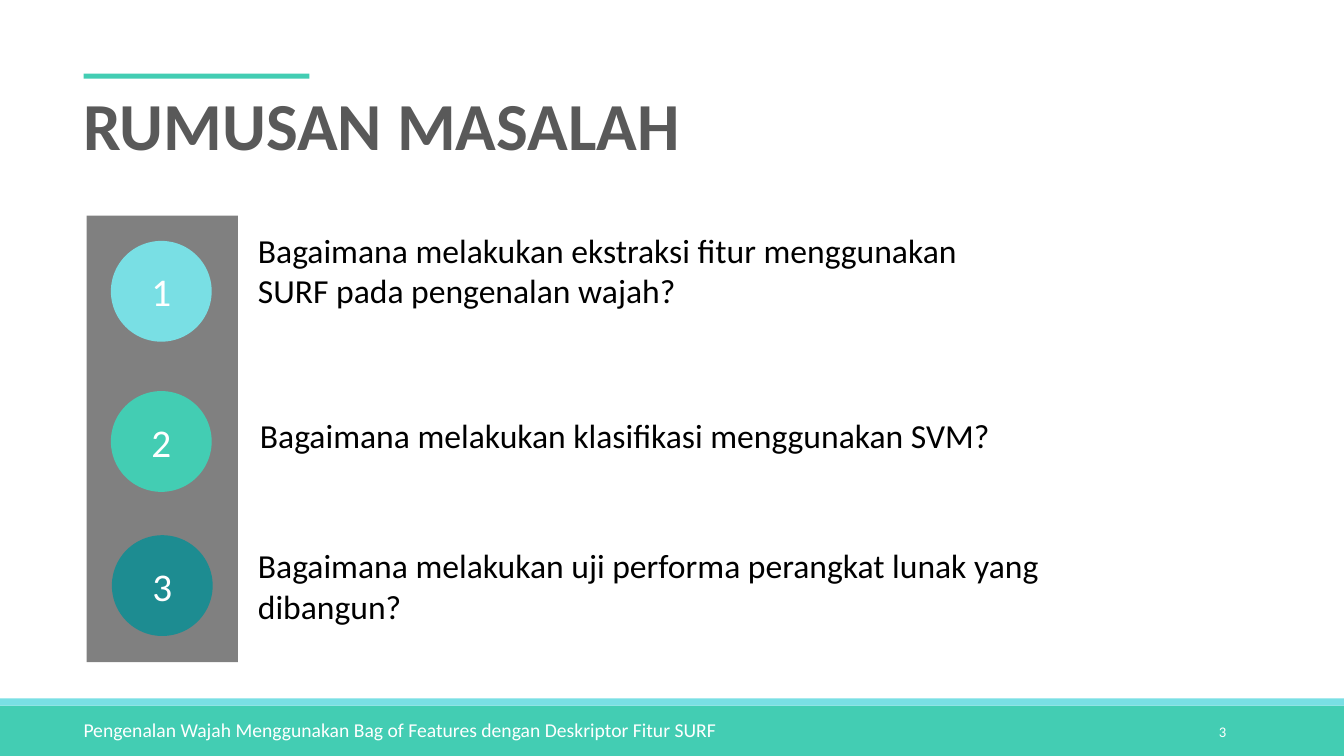
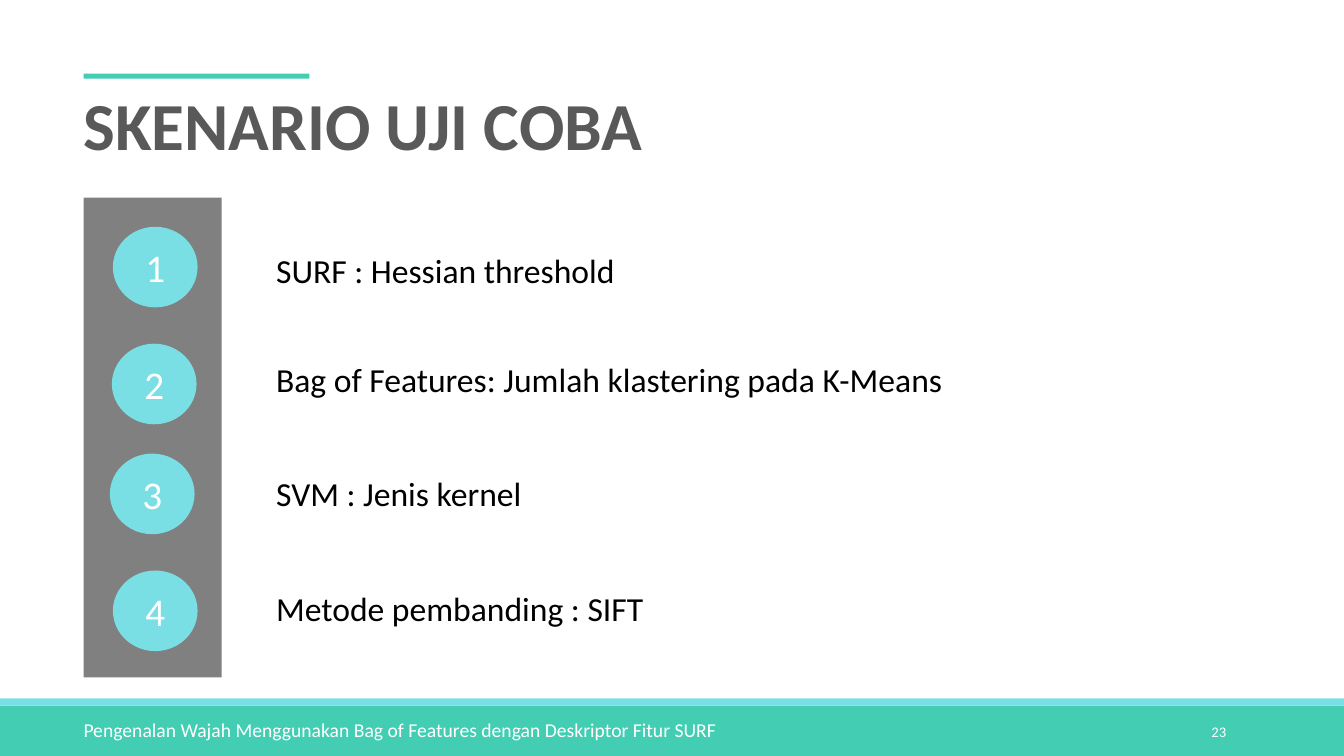
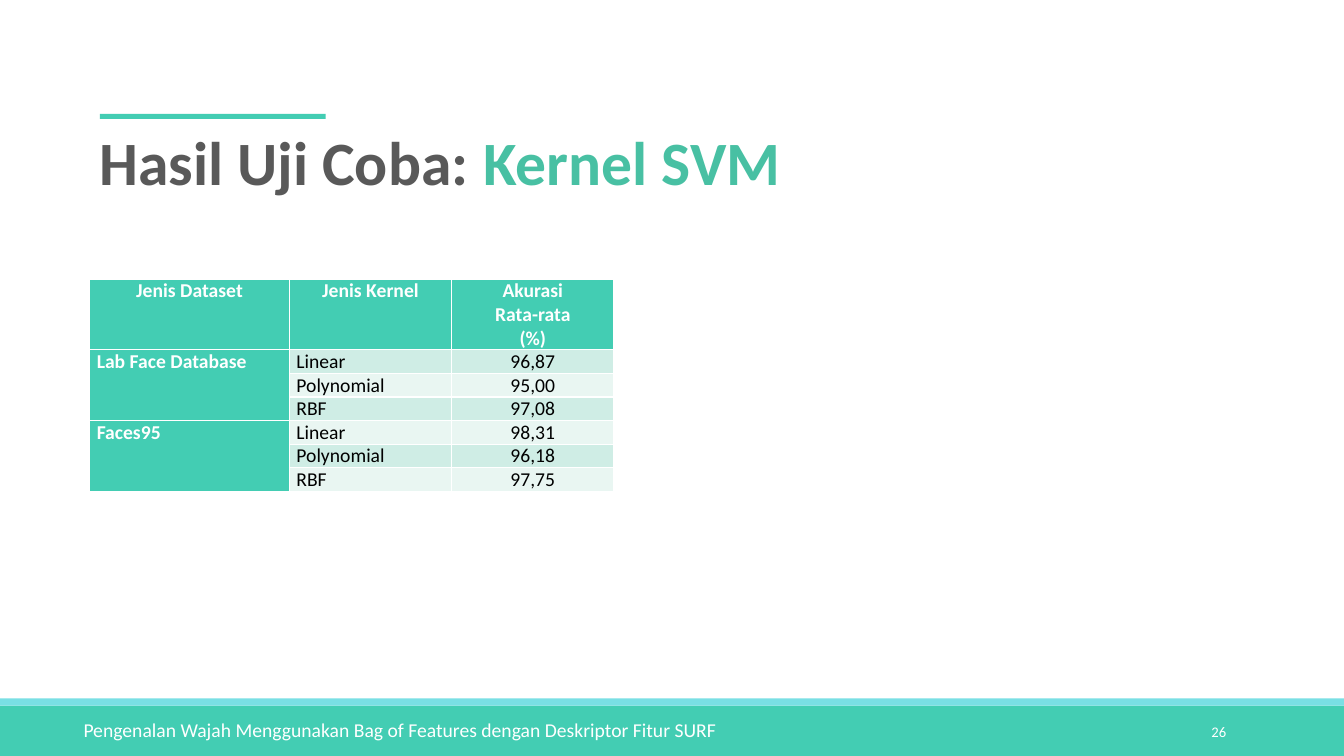
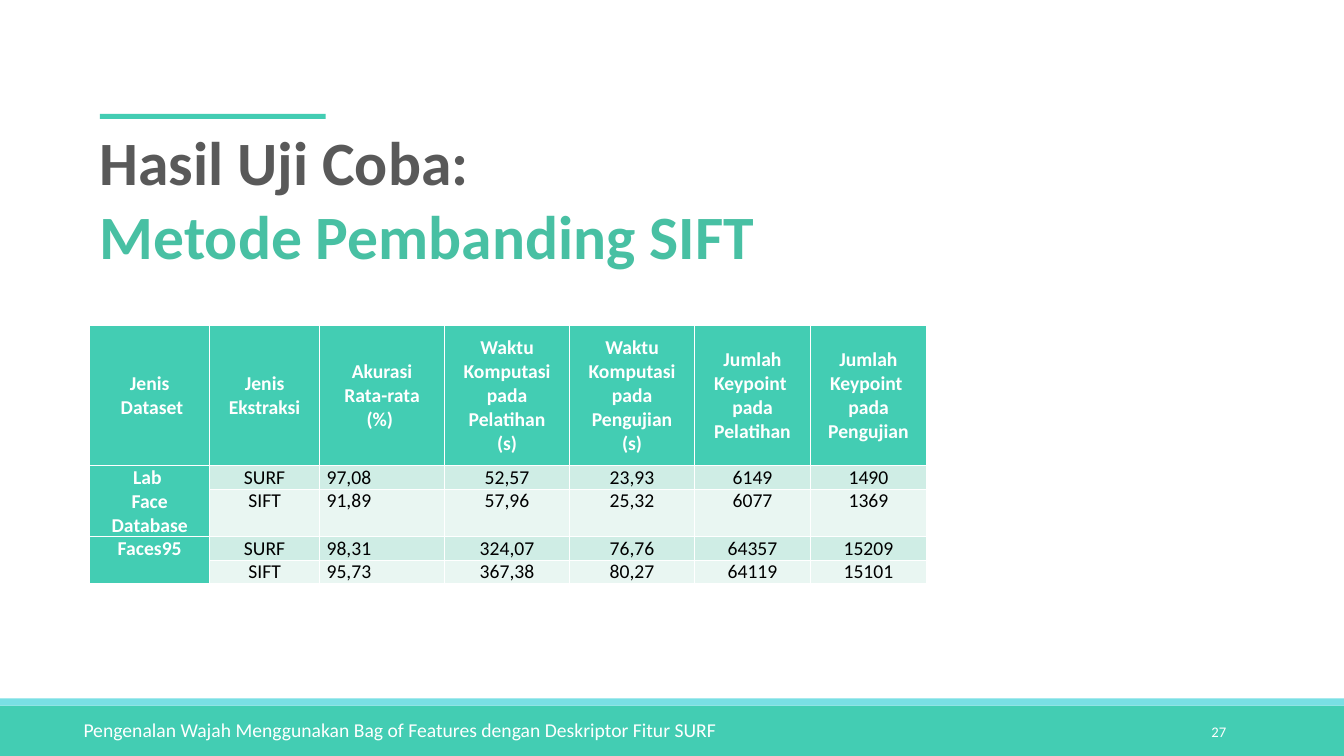
from dataclasses import dataclass

from pptx import Presentation
from pptx.dml.color import RGBColor
from pptx.enum import shapes, text
from pptx.util import Emu, Pt

EMU_PER_PX = 9144  # 100 px to the inch
FONT = "Calibri"
FOOTER = "Pengenalan Wajah Menggunakan Bag of Features dengan Deskriptor Fitur SURF"
COLORS = {
    "green": "43CDB3",
    "accent": "48C0A3",
    "cyan": "79DFE4",
    "teal": "1D8C91",
    "gray": "808080",
    "title": "595959",
    "band_dark": "CFEDE5",
    "band_light": "E9F6F2",
    "white": "FFFFFF",
    "black": "000000",
}
LEFT, CENTER, RIGHT = text.PP_ALIGN.LEFT, text.PP_ALIGN.CENTER, text.PP_ALIGN.RIGHT
TOP, MIDDLE = text.MSO_ANCHOR.TOP, text.MSO_ANCHOR.MIDDLE
RECT, OVAL = shapes.MSO_SHAPE.RECTANGLE, shapes.MSO_SHAPE.OVAL


@dataclass(frozen=True)
class Area:
    left: int
    top: int
    width: int
    height: int

    def emu(self) -> list[Emu]:
        lengths = (self.left, self.top, self.width, self.height)
        return [px(length) for length in lengths]


@dataclass(frozen=True)
class Style:
    size: float
    color: str = "black"
    bold: bool = False
    align: text.PP_ALIGN = LEFT
    anchor: text.MSO_ANCHOR = TOP


@dataclass(frozen=True)
class Step:
    circle: Area
    color: str
    label: Area
    wording: str


@dataclass(frozen=True)
class Grid:
    left: int
    top: int
    columns: list[int]
    rows: list[int]
    aligns: list[text.PP_ALIGN]
    header_anchor: text.MSO_ANCHOR
    group_size: int  # body rows sharing one cell of the first column
    cells: list[list[str]]


# Text styles
TITLE_CAPS = Style(48, "title", bold=True)
TITLE = Style(44, "title", bold=True)
BODY = Style(24)
NUMBER = Style(28, "white", align=CENTER, anchor=MIDDLE)
FOOTER_TEXT = Style(14, "white")
PAGE_NUMBER = Style(10.5, "white", align=RIGHT, anchor=MIDDLE)


def px(length: int) -> Emu:
    return Emu(length * EMU_PER_PX)


def rgb(name: str) -> RGBColor:
    return RGBColor.from_string(COLORS[name])


# Drawing helpers
def format_text(frame, style: Style) -> None:
    frame.vertical_anchor = style.anchor
    for paragraph in frame.paragraphs:
        paragraph.alignment = style.align
        for span in paragraph.runs:
            span.font.name = FONT
            span.font.size = Pt(style.size)
            span.font.bold = style.bold
            span.font.color.rgb = rgb(style.color)


def add_text(page, area: Area, wording: str, style: Style):
    box = page.shapes.add_textbox(*area.emu())
    frame = box.text_frame
    frame.word_wrap = True
    frame.text = wording
    format_text(frame, style)
    return frame


def add_block(page, kind: shapes.MSO_SHAPE, area: Area, color: str):
    block = page.shapes.add_shape(kind, *area.emu())
    block.shadow.inherit = False
    block.fill.solid()
    block.fill.fore_color.rgb = rgb(color)
    block.line.fill.background()
    return block


# Shared page parts
def add_page(deck, number: int):
    page = deck.slides.add_slide(deck.slide_layouts[6])
    add_block(page, RECT, Area(0, 700, 1333, 50), "green")
    add_block(page, RECT, Area(0, 693, 1333, 7), "cyan")
    add_text(page, Area(73, 707, 1071, 34), FOOTER, FOOTER_TEXT)
    add_text(page, Area(1083, 706, 143, 40), str(number), PAGE_NUMBER)
    return page


def add_title(page, area: Area, wording: str, style: Style):
    add_block(page, RECT, Area(area.left + 10, area.top - 5, 224, 5), "green")
    return add_text(page, area, wording, style)


def add_steps_page(deck, number: int, title: str, bar: Area, steps: list[Step]) -> None:
    page = add_page(deck, number)
    add_title(page, Area(73, 78, 662, 91), title, TITLE_CAPS)
    add_block(page, RECT, bar, "gray")
    for index, step in enumerate(steps, start=1):
        circle = add_block(page, OVAL, step.circle, step.color)
        circle.text_frame.text = str(index)
        format_text(circle.text_frame, NUMBER)
        add_text(page, step.label, step.wording, BODY)


def add_results_page(deck, number: int, title: str, height: int, grid: Grid) -> None:
    page = add_page(deck, number)
    frame = add_title(page, Area(89, 118, 901, height), title, TITLE)
    # The last part of the title is set in the accent colour
    topic = frame.paragraphs[-1].runs[-1]
    if len(frame.paragraphs) == 1:
        lead, subject = title.split(": ")
        topic.text = lead + ": "
        topic = frame.paragraphs[0].add_run()
        topic.text = subject
        format_text(frame, TITLE)
    topic.font.color.rgb = rgb("accent")
    add_grid(page, grid)


def add_grid(page, grid: Grid) -> None:
    area = Area(grid.left, grid.top, sum(grid.columns), sum(grid.rows))
    table = page.shapes.add_table(len(grid.rows), len(grid.columns), *area.emu()).table
    table.first_col = True
    for column, width in zip(table.columns, grid.columns):
        column.width = px(width)
    for row, height in zip(table.rows, grid.rows):
        row.height = px(height)

    for y, wordings in enumerate(grid.cells):
        for x, wording in enumerate(wordings):
            cell = table.cell(y, x)
            cell.margin_left = cell.margin_right = px(7)
            cell.margin_top = cell.margin_bottom = 0
            heading = y == 0 or x == 0
            band = "band_dark" if y % 2 else "band_light"
            cell.fill.solid()
            cell.fill.fore_color.rgb = rgb("green" if heading else band)
            cell.text_frame.text = wording
            style = Style(
                14,
                "white" if heading else "black",
                bold=heading,
                align=grid.aligns[x] if y else CENTER,
            )
            format_text(cell.text_frame, style)
            cell.vertical_anchor = TOP if y else grid.header_anchor

    for first in range(1, len(grid.rows), grid.group_size):
        table.cell(first, 0).merge(table.cell(first + grid.group_size - 1, 0))


# Page contents
QUESTIONS = [
    Step(Area(110, 239, 100, 100), "cyan", Area(246, 223, 754, 91),
         "Bagaimana melakukan ekstraksi fitur menggunakan SURF pada pengenalan wajah?"),
    Step(Area(110, 388, 100, 100), "green", Area(248, 407, 975, 50),
         "Bagaimana melakukan klasifikasi menggunakan SVM?"),
    Step(Area(111, 531, 100, 100), "teal", Area(246, 536, 940, 91),
         "Bagaimana melakukan uji performa perangkat lunak yang dibangun?"),
]

SCENARIOS = [
    Step(Area(left, top, 84, 80), "cyan", Area(264, label_top, 800, 50), wording)
    for left, top, label_top, wording in [
        (112, 225, 243, "SURF : Hessian threshold"),
        (111, 341, 351, "Bag of Features: Jumlah klastering pada K-Means"),
        (109, 450, 464, "SVM : Jenis kernel"),
        (112, 566, 578, "Metode pembanding : SIFT"),
    ]
]

KERNELS = Grid(
    left=89, top=277,
    columns=[198, 161, 161],
    rows=[70] + [23] * 6,
    aligns=[LEFT, LEFT, CENTER],
    header_anchor=TOP,
    group_size=3,
    cells=[
        ["Jenis Dataset", "Jenis Kernel", "Akurasi\nRata-rata\n(%)"],
        ["Lab Face Database", "Linear", "96,87"],
        ["", "Polynomial", "95,00"],
        ["", "RBF", "97,08"],
        ["Faces95", "Linear", "98,31"],
        ["", "Polynomial", "96,18"],
        ["", "RBF", "97,75"],
    ],
)

COMPARISON = Grid(
    left=89, top=323,
    columns=[119, 109, 124, 124, 124, 115, 115],
    rows=[139, 23, 47, 23, 23],
    aligns=[CENTER, CENTER, LEFT] + [CENTER] * 4,
    header_anchor=MIDDLE,
    group_size=2,
    cells=[
        ["Jenis\n Dataset", "Jenis Ekstraksi", "Akurasi\nRata-rata\n(%) ",
         "Waktu Komputasi pada Pelatihan\n(s)", "Waktu Komputasi pada Pengujian\n(s)",
         "Jumlah\nKeypoint \npada Pelatihan", "Jumlah\nKeypoint \npada Pengujian"],
        ["Lab \nFace Database", "SURF", "97,08", "52,57", "23,93", "6149", "1490"],
        ["", "SIFT", "91,89", "57,96", "25,32", "6077", "1369"],
        ["Faces95", "SURF", "98,31", "324,07", "76,76", "64357", "15209"],
        ["", "SIFT", "95,73", "367,38", "80,27", "64119", "15101"],
    ],
)


def main() -> None:
    deck = Presentation()
    deck.slide_width, deck.slide_height = px(1333), px(750)
    add_steps_page(deck, 3, "RUMUSAN MASALAH", Area(86, 214, 150, 443), QUESTIONS)
    add_steps_page(deck, 23, "SKENARIO UJI COBA", Area(83, 196, 137, 476), SCENARIOS)
    add_results_page(deck, 26, "Hasil Uji Coba: Kernel SVM", 84, KERNELS)
    add_results_page(deck, 27, "Hasil Uji Coba:\nMetode Pembanding SIFT", 158, COMPARISON)
    deck.save("out.pptx")


if __name__ == "__main__":
    main()
